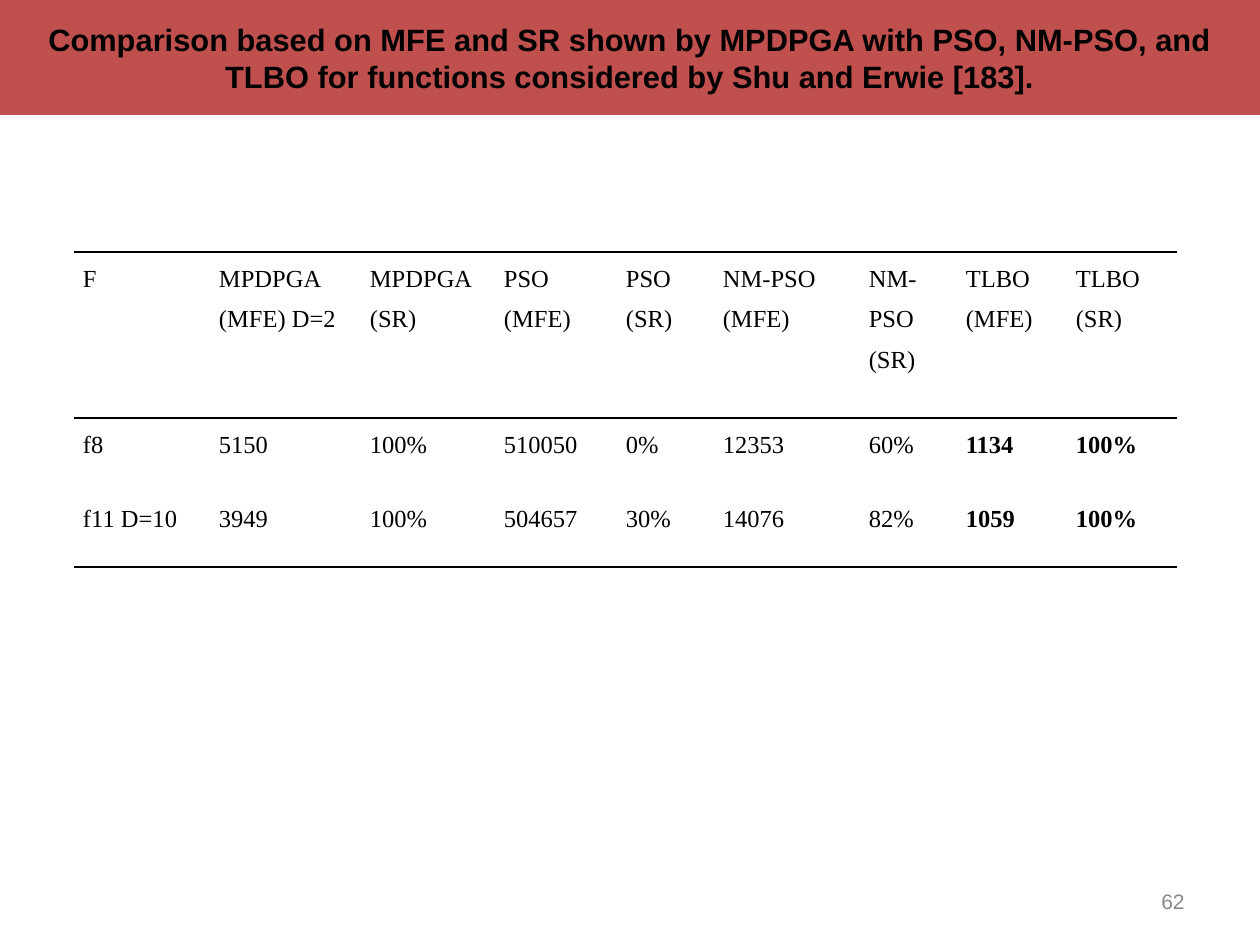
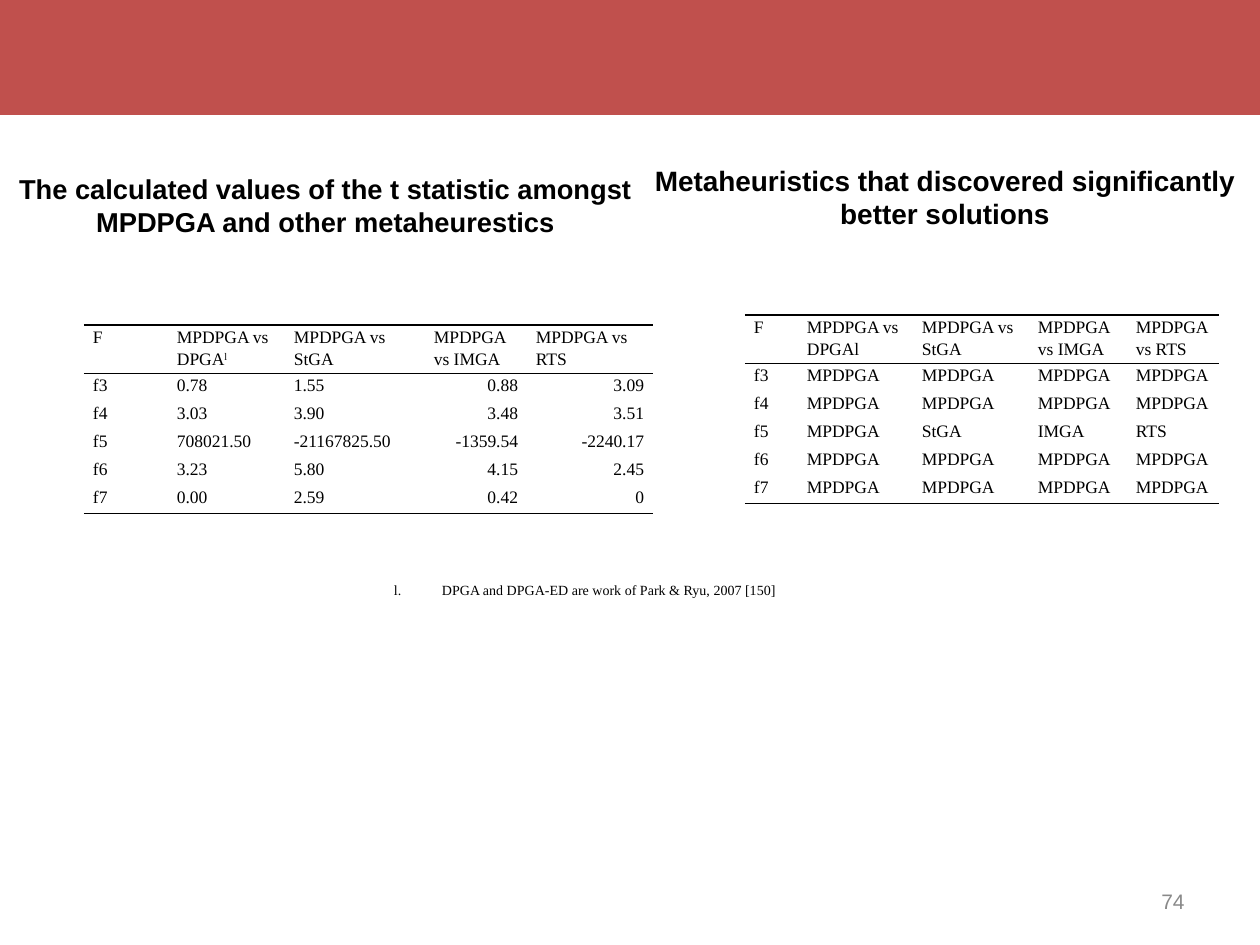
"""Build two slides of tables comparing MPDPGA with other metaheuristics."""
from dataclasses import dataclass

from lxml import etree
from pptx import Presentation
from pptx import util as u
from pptx.dml.color import RGBColor
from pptx.enum import shapes, text
from pptx.oxml.ns import qn

PX_PER_INCH = 126
COLORS = {"band": "C0504D", "ink": "000000", "page_number": "898989"}
SANS, SERIF = "Arial", "Times New Roman"
LEFT, CENTER, RIGHT = text.PP_ALIGN.LEFT, text.PP_ALIGN.CENTER, text.PP_ALIGN.RIGHT
TOP, MIDDLE = text.MSO_ANCHOR.TOP, text.MSO_ANCHOR.MIDDLE


@dataclass(frozen=True)
class Box:
    """Position and size in px."""

    left: int
    top: int
    width: int
    height: int


@dataclass(frozen=True)
class Heading:
    """A bold centred heading above a table."""

    box: Box
    words: str
    size: float
    anchor: text.MSO_ANCHOR


@dataclass(frozen=True)
class TableStyle:
    """Text format of the cells of a table."""

    size: int
    line_spacing: float
    space_before: int = 0
    space_after: int = 0


@dataclass(frozen=True)
class ResultTable:
    """A ruled table whose first row is the header."""

    left: int
    top: int
    columns: tuple[int, ...]
    heights: tuple[int, ...]
    rows: tuple[tuple[str, ...], ...]
    style: TableStyle
    bold_columns: tuple[int, ...] = ()
    right_columns: tuple[int, ...] = ()


LARGE = TableStyle(14, 1.5, space_before=3)
SMALL = TableStyle(10, 1.15, space_after=10)
SMALL_HEIGHTS = (47,) + (28,) * 5
BAND = Box(0, 0, 1260, 115)
PAGE_NUMBER = Box(903, 876, 294, 50)
FOOTNOTE = Box(378, 567, 840, 49)

TITLE = ("Comparison based on MFE and SR shown by MPDPGA with PSO, NM-PSO, and "
         "TLBO for functions considered by Shu and Erwie [183].")

SUCCESS_RATES = ResultTable(
    74, 252, (136, 151, 134, 122, 97, 146, 97, 110, 110), (166, 74, 75),
    (
        ("F", "MPDPGA (MFE) D=2", "MPDPGA (SR)", "PSO (MFE)", "PSO (SR)",
         "NM-PSO (MFE)", "NM-PSO (SR)", "TLBO (MFE)", "TLBO (SR)"),
        ("f8", "5150", "100%", "510050", "0%", "12353", "60%", "1134", "100%"),
        ("f11 D=10", "3949", "100%", "504657", "30%", "14076", "82%", "1059", "100%"),
    ),
    LARGE, bold_columns=(7, 8),
)
T_STATISTICS = ResultTable(
    84, 325, (84, 117, 140, 102, 126), SMALL_HEIGHTS,
    (
        ("F", "MPDPGA vs DPGA^l", "MPDPGA vs StGA", "MPDPGA vs IMGA", "MPDPGA vs RTS"),
        ("f3", "0.78", "1.55", "0.88", "3.09"),
        ("f4", "3.03", "3.90", "3.48", "3.51"),
        ("f5", "708021.50", "-21167825.50", "-1359.54", "-2240.17"),
        ("f6", "3.23", "5.80", "4.15", "2.45"),
        ("f7", "0.00", "2.59", "0.42", "0"),
    ),
    SMALL, right_columns=(3, 4),
)
ALL_MPDPGA = ("MPDPGA",) * 4
BETTER_SOLUTIONS = ResultTable(
    745, 315, (53, 115, 116, 98, 92), SMALL_HEIGHTS,
    (
        ("F", "MPDPGA vs DPGAl", "MPDPGA vs StGA", "MPDPGA vs IMGA", "MPDPGA vs RTS"),
        ("f3", *ALL_MPDPGA),
        ("f4", *ALL_MPDPGA),
        ("f5", "MPDPGA", "StGA", "IMGA", "RTS"),
        ("f6", *ALL_MPDPGA),
        ("f7", *ALL_MPDPGA),
    ),
    SMALL,
)
HEADINGS = (
    Heading(Box(0, 147, 651, 116),
            "The calculated values of the t statistic amongst MPDPGA and other metaheurestics",
            15.6, MIDDLE),
    Heading(Box(630, 157, 630, 81),
            "Metaheuristics that discovered significantly better solutions", 16, TOP),
)


def px(length: int) -> u.Emu:
    """Turn px into EMU."""
    return u.Emu(round(length * 914400 / PX_PER_INCH))


def place(box: Box) -> tuple[u.Emu, ...]:
    """Give left, top, width and height in EMU."""
    return px(box.left), px(box.top), px(box.width), px(box.height)


def write_text(frame, words: str, *, size: float, font: str = SANS, color: str = "ink",
               bold: bool = False, align=LEFT, line_spacing: float = 1.0,
               space_before: int = 0, space_after: int = 0):
    """Write one paragraph; what follows a caret is superscript."""
    frame.word_wrap = True
    paragraph = frame.paragraphs[0]
    paragraph.alignment = align
    paragraph.line_spacing = line_spacing
    paragraph.space_before = u.Pt(space_before)
    paragraph.space_after = u.Pt(space_after)
    for index, part in enumerate(words.split("^")):
        run = paragraph.add_run()
        run.text = part
        run.font.size = u.Pt(size)
        run.font.name = font
        run.font.bold = bold
        run.font.color.rgb = RGBColor.from_string(COLORS[color])
        if index:
            run._r.get_or_add_rPr().set("baseline", "30000")
    return paragraph


def add_label(slide, box: Box, words: str, *, anchor=MIDDLE, **style) -> None:
    """Add a text box."""
    frame = slide.shapes.add_textbox(*place(box)).text_frame
    frame.vertical_anchor = anchor
    write_text(frame, words, **style)


def add_frame(slide, page: int, title: str = "") -> None:
    """Add the band with its title, and the page number."""
    band = slide.shapes.add_shape(shapes.MSO_SHAPE.RECTANGLE, *place(BAND))
    band.shadow.inherit = False
    band.fill.solid()
    band.fill.fore_color.rgb = RGBColor.from_string(COLORS["band"])
    band.line.fill.background()
    if title:
        band.text_frame.vertical_anchor = MIDDLE
        write_text(band.text_frame, title, size=17.6, bold=True, align=CENTER)
    add_label(slide, PAGE_NUMBER, str(page), size=12, color="page_number", align=RIGHT)


def format_cell(cell, ruled: str, margins: tuple[int, int]) -> None:
    """Clear the fill, rule the named sides (of L, R, T, B) and set the margins."""
    properties = cell._tc.get_or_add_tcPr()
    for side in "LRTB":
        line = etree.SubElement(properties, qn(f"a:ln{side}"), w=str(u.Pt(1)))
        if side in ruled:
            fill = etree.SubElement(line, qn("a:solidFill"))
            etree.SubElement(fill, qn("a:srgbClr"), val=COLORS["ink"])
        else:
            etree.SubElement(line, qn("a:noFill"))
    cell.fill.background()
    cell.margin_left = cell.margin_right = px(margins[0])
    cell.margin_top = cell.margin_bottom = px(margins[1])


def add_grid(slide, left: int, top: int, columns: tuple[int, ...], heights: tuple[int, ...]):
    """Add a plain table with the given column widths and row heights."""
    box = Box(left, top, sum(columns), sum(heights))
    table = slide.shapes.add_table(len(heights), len(columns), *place(box)).table
    table.first_row = table.horz_banding = False
    for column, width in zip(table.columns, columns):
        column.width = px(width)
    for row, height in zip(table.rows, heights):
        row.height = px(height)
    return table


def add_results(slide, result: ResultTable) -> None:
    """Add a table with rules above and below the header and at the end."""
    table = add_grid(slide, result.left, result.top, result.columns, result.heights)
    style = result.style
    last = len(result.rows) - 1
    for r, row in enumerate(result.rows):
        ruled = ("T" if r < 2 else "") + ("B" if r in (0, last) else "")
        for c, words in enumerate(row):
            cell = table.cell(r, c)
            format_cell(cell, ruled, (9, 0))
            write_text(cell.text_frame, words, size=style.size, font=SERIF,
                       bold=r > 0 and c in result.bold_columns,
                       align=RIGHT if r > 0 and c in result.right_columns else LEFT,
                       line_spacing=style.line_spacing, space_before=style.space_before,
                       space_after=style.space_after)


def add_footnote(slide, words: str) -> None:
    """Add a one-cell table holding a note lettered l."""
    table = add_grid(slide, FOOTNOTE.left, FOOTNOTE.top, (FOOTNOTE.width,), (FOOTNOTE.height,))
    cell = table.cell(0, 0)
    format_cell(cell, "", (16, 16))
    paragraph = write_text(cell.text_frame, words, size=8, font=SERIF, space_after=2)
    properties = paragraph._p.get_or_add_pPr()
    properties.set("marL", str(px(48)))
    properties.set("indent", str(-px(48)))
    etree.SubElement(properties, qn("a:buAutoNum"), type="alphaLcPeriod", startAt="12")


def main() -> None:
    """Build and save the presentation."""
    presentation = Presentation()
    presentation.slide_width, presentation.slide_height = px(1260), px(945)
    blank = presentation.slide_layouts[6]

    slide = presentation.slides.add_slide(blank)
    add_frame(slide, 62, TITLE)
    add_results(slide, SUCCESS_RATES)

    slide = presentation.slides.add_slide(blank)
    add_frame(slide, 74)
    for heading in HEADINGS:
        add_label(slide, heading.box, heading.words, anchor=heading.anchor,
                  size=heading.size, bold=True, align=CENTER)
    for result in (T_STATISTICS, BETTER_SOLUTIONS):
        add_results(slide, result)
    add_footnote(slide, "DPGA and DPGA-ED are work of Park & Ryu, 2007 [150]")

    presentation.save("out.pptx")


if __name__ == "__main__":
    main()
